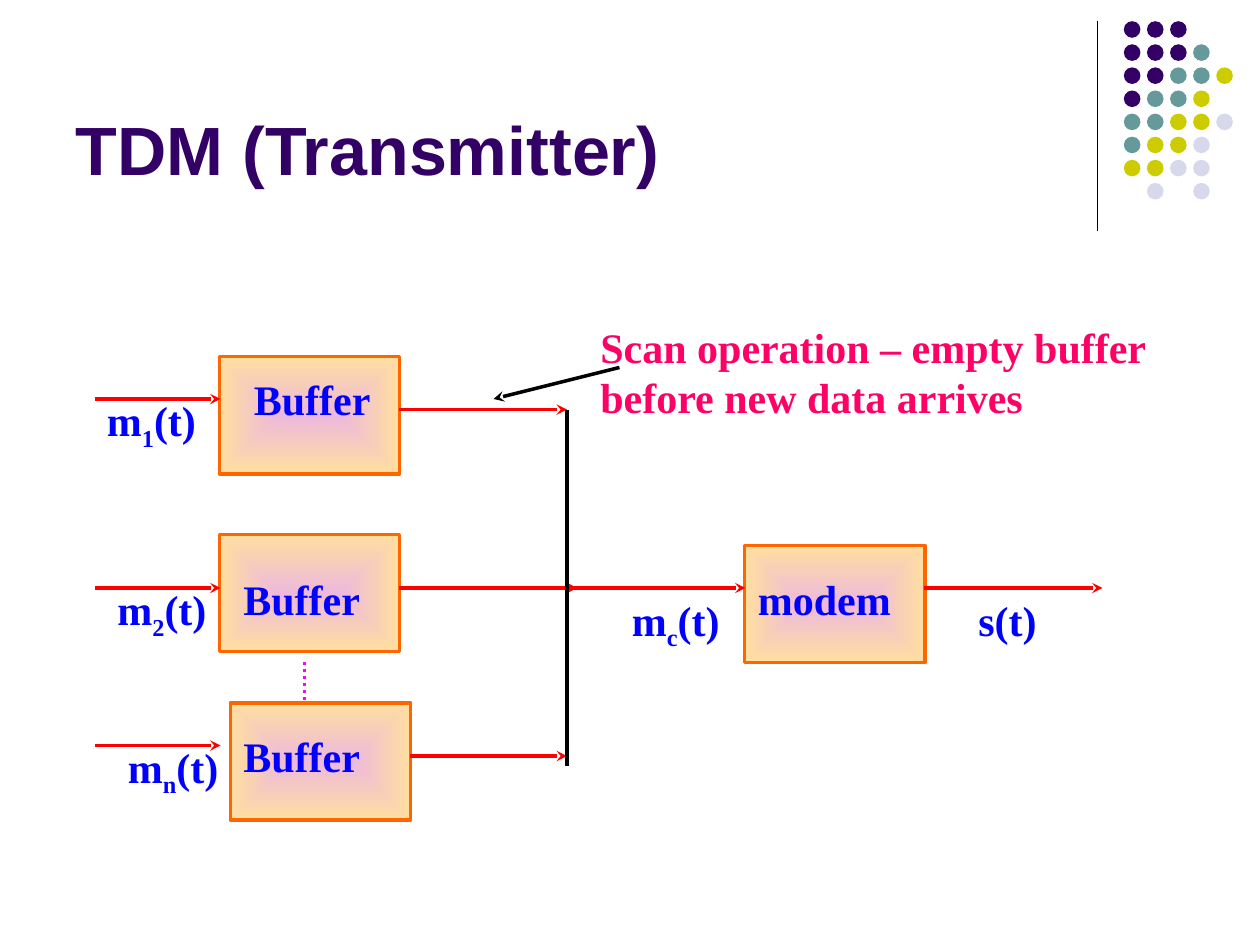
import pptx
import pptx.util
from lxml import etree
from pptx.dml.color import RGBColor
from pptx.enum.dml import MSO_LINE
from pptx.enum.shapes import MSO_CONNECTOR, MSO_SHAPE
from pptx.enum.text import MSO_ANCHOR, MSO_AUTO_SIZE, PP_ALIGN
from pptx.oxml.ns import qn
from pptx.util import Pt

PURPLE = RGBColor(0x33, 0x00, 0x66)
TEAL = RGBColor(0x66, 0x99, 0x99)
OLIVE = RGBColor(0xCC, 0xCC, 0x00)
LAVENDER = RGBColor(0xD8, 0xD8, 0xEC)
BLACK = RGBColor(0, 0, 0)
RED = RGBColor(0xFF, 0, 0)
MAGENTA = RGBColor(0xFF, 0, 0xFF)
PINK = RGBColor(0xFF, 0, 0x66)
BLUE = RGBColor(0, 0, 0xFF)
ORANGE = RGBColor(0xFF, 0x66, 0)
BOX_CENTRE = RGBColor(0xED, 0xB9, 0xDC)
BOX_EDGE = RGBColor(0xFF, 0xDF, 0x9F)

# Content, all lengths in points
TITLE = "TDM (Transmitter)"
NOTE = "Scan operation – empty buffer before new data arrives"

DOT_COLOURS = {"P": PURPLE, "T": TEAL, "O": OLIVE, "L": LAVENDER}
DOT_ROWS = ["PPP", "PPPT", "PPTTO", "PTTO", "TTOOL", "TOOL", "OOLL", " L L"]
DOT_LEFT, DOT_TOP, DOT_PITCH, DOT_SIZE = 642.2, 12.1, 13.2, 9.5

BOX_WIDTH, BOX_HEIGHT = 103, 67
BOXES = [(125.4, 203.8), (125.4, 305.4), (131.6, 401.6), (425.5, 311.6)]

# Straight signals: start x, end x, y
SIGNALS = [
    (54, 126, 228), (54, 126, 336), (54, 126, 426),
    (228, 324, 234), (228, 330, 336), (234, 324, 432),
    (324, 426, 336), (528, 630, 336),
]

# Box names: text, left, top
BOX_NAMES = [
    ("Buffer", 138, 210), ("Buffer", 132, 324),
    ("Buffer", 132, 414), ("modem", 426, 324),
]

# Signal names: symbol, subscript, argument, left, top
SIGNAL_NAMES = [
    ("m", "1", "(t)", 54, 222), ("m", "2", "(t)", 60, 330),
    ("m", "n", "(t)", 66, 420), ("m", "c", "(t)", 354, 336),
    ("s", "", "(t)", 552, 336),
]

presentation = pptx.Presentation()
presentation.slide_width, presentation.slide_height = Pt(720), Pt(540)
slide = presentation.slides.add_slide(presentation.slide_layouts[5])


def write_text(frame, text, subscript="", ending="", font="Times New Roman",
               size=24, colour=BLUE, before=15):
    paragraph = frame.paragraphs[0]
    paragraph.alignment = PP_ALIGN.LEFT
    paragraph.space_before = Pt(before)
    for part, baseline in ((text, 0), (subscript, -25000), (ending, 0)):
        if not part:
            continue
        run = paragraph.add_run()
        run.text = part
        run.font.name = font
        run.font.size = Pt(size)
        run.font.bold = True
        run.font.color.rgb = colour
        if baseline:
            run.font._element.set("baseline", str(baseline))


def add_label(left, top, width, height, text, **text_format):
    label = slide.shapes.add_textbox(Pt(left), Pt(top), Pt(width), Pt(height))
    label.text_frame.word_wrap = True
    label.text_frame.auto_size = MSO_AUTO_SIZE.SHAPE_TO_FIT_TEXT
    write_text(label.text_frame, text, **text_format)


def add_line(x1, y1, x2, y2, colour, width=2, arrow=None, dash=None):
    """Draw a line; arrow is "headEnd" (at the start) or "tailEnd"."""
    connector = slide.shapes.add_connector(
        MSO_CONNECTOR.STRAIGHT, Pt(x1), Pt(y1), Pt(x2), Pt(y2))
    connector.line.color.rgb = colour
    connector.line.width = Pt(width)
    if dash:
        connector.line.dash_style = dash
    if arrow:
        line = connector.line._get_or_add_ln()
        etree.SubElement(line, qn("a:" + arrow), type="stealth")
    etree.SubElement(connector._element.spPr, qn("a:effectLst"))


def add_box(left, top):
    box = slide.shapes.add_shape(
        MSO_SHAPE.RECTANGLE, Pt(left), Pt(top), Pt(BOX_WIDTH), Pt(BOX_HEIGHT))
    box.shadow.inherit = False
    box.line.color.rgb = ORANGE
    box.line.width = Pt(2)
    box.fill.gradient()
    for stop, colour in zip(box.fill.gradient_stops, (BOX_CENTRE, BOX_EDGE)):
        stop.color.rgb = colour
    box.fill.gradient_stops[0].position = 0
    box.fill.gradient_stops[1].position = 1
    # Turn the linear gradient into one that spreads from the centre
    gradient = box._element.spPr.find(qn("a:gradFill"))
    linear = gradient.find(qn("a:lin"))
    spread = etree.Element(qn("a:path"), {"path": "rect"})
    etree.SubElement(spread, qn("a:fillToRect"),
                     dict.fromkeys("ltrb", "50000"))
    gradient.replace(linear, spread)


# Corner decoration
add_line(627, 12, 627, 132, BLACK, width=0.75)
for row, codes in enumerate(DOT_ROWS):
    for column, code in enumerate(codes):
        if code in DOT_COLOURS:
            dot = slide.shapes.add_shape(
                MSO_SHAPE.OVAL,
                Pt(DOT_LEFT + column * DOT_PITCH),
                Pt(DOT_TOP + row * DOT_PITCH), Pt(DOT_SIZE), Pt(DOT_SIZE))
            dot.shadow.inherit = False
            dot.fill.solid()
            dot.fill.fore_color.rgb = DOT_COLOURS[code]
            dot.line.fill.background()

# Title
title = slide.shapes.title
title.left, title.top, title.width, title.height = (
    Pt(36), Pt(9.5), Pt(594), Pt(102))
title.text_frame.vertical_anchor = MSO_ANCHOR.BOTTOM
title.text_frame.word_wrap = True
title.text_frame.auto_size = MSO_AUTO_SIZE.NONE
write_text(title.text_frame, TITLE, font="Arial", size=39, colour=PURPLE,
           before=0)

# Buffers, modem and signal lines
for left, top in BOXES:
    add_box(left, top)
for start, end, y in SIGNALS:
    add_line(start, y, end, y, RED, arrow="tailEnd")
add_line(174, 378, 174, 402, MAGENTA, dash=MSO_LINE.ROUND_DOT)

# Scanning bar and its pointer
add_line(324, 234, 324, 438, BLACK)
add_line(282, 228, 354, 210, BLACK, arrow="headEnd")

# Labels
for name, left, top in BOX_NAMES:
    add_label(left, top, 246, 36, name)
for symbol, subscript, argument, left, top in SIGNAL_NAMES:
    add_label(left, top, 186, 40 if subscript else 36, symbol,
              subscript=subscript, ending=argument)
add_label(336, 180, 348, 65, NOTE, colour=PINK)

presentation.save("out.pptx")
